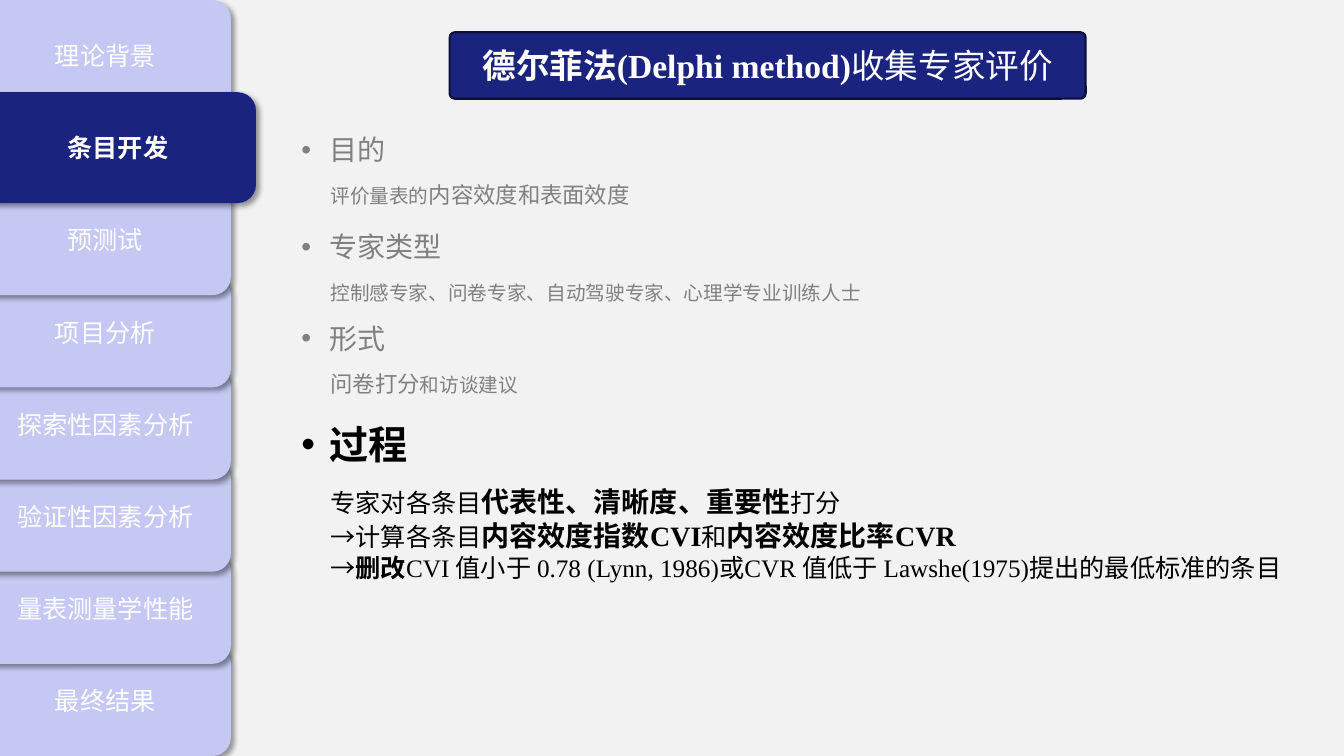
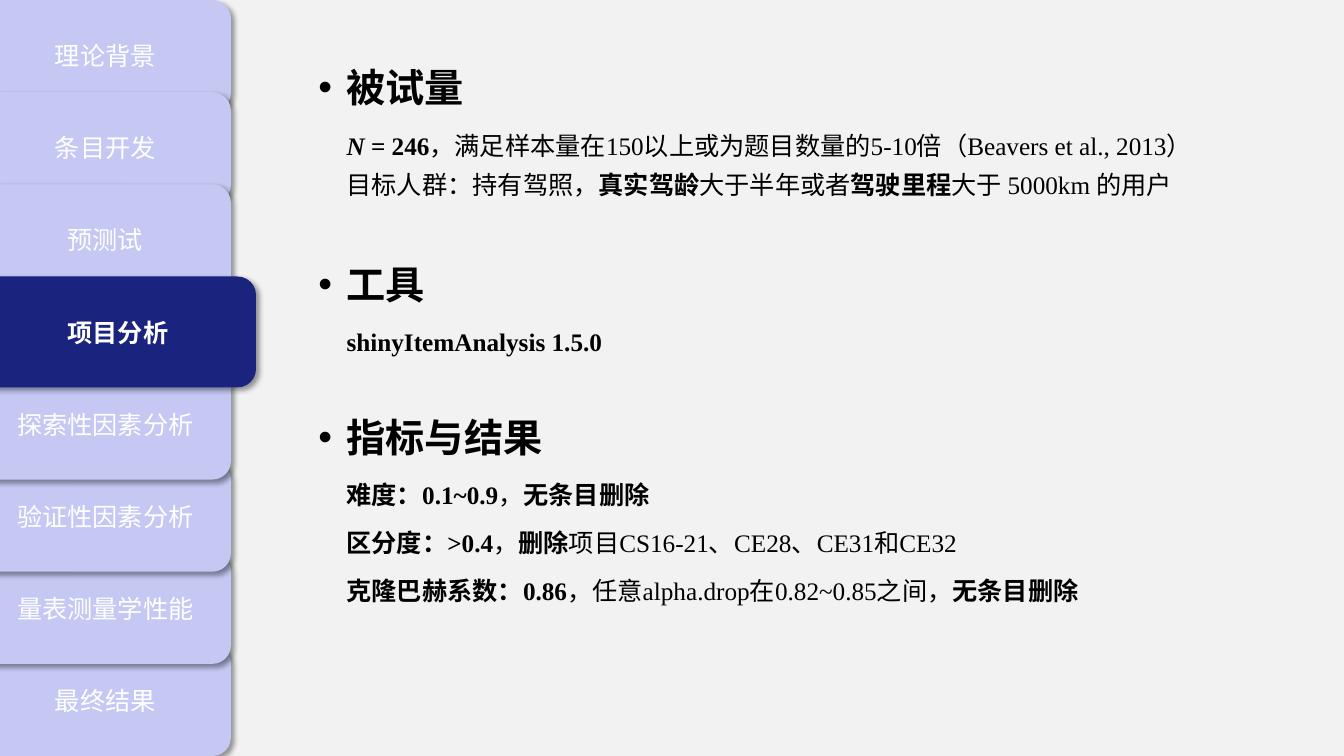
"""Build two slides on scale development with a shared tab rail."""
import dataclasses

import lxml.etree
import pptx
import pptx.dml.color
import pptx.enum.shapes
import pptx.enum.text
import pptx.oxml.ns
import pptx.util


@dataclasses.dataclass(frozen=True)
class Theme:
    paper: str = "F2F2F2"
    navy: str = "1A237E"
    edge: str = "0B0F37"
    lilac: str = "C4C8F3"
    white: str = "FFFFFF"
    black: str = "000000"
    grey: str = "808080"
    latin: str = "Times New Roman"
    cjk: str = "Noto Sans CJK SC"
    title: int = 24
    head: int = 28
    quiet_head: int = 20
    strong: int = 20
    body: int = 18
    mid: int = 16
    small: int = 14
    leading: int = 28


THEME = Theme()
TABS = ["理论背景", "条目开发", "预测试", "项目分析",
        "探索性因素分析", "验证性因素分析", "量表测量学性能", "最终结果"]
TAB_LEFT, TAB_WIDTH, ACTIVE_WIDTH, TAB_HEIGHT = -1.5, 18.68, 20.55, 14.67
HEAD_HEIGHT = 7.6
BOLD = {"bold": True}
STRONG = {"bold": True, "size": THEME.strong}


def rgb(value):
    return pptx.dml.color.RGBColor.from_string(value)


def sub(parent, tag, **attrs):
    return lxml.etree.SubElement(parent, pptx.oxml.ns.qn(tag), attrs)


class Deck:
    def __init__(self, theme):
        self.theme = theme
        self.prs = pptx.Presentation()
        self.prs.slide_width = pptx.util.Inches(13.33)
        self.prs.slide_height = pptx.util.Inches(7.5)
        self.s = None

    def slide(self, active):
        self.s = self.prs.slides.add_slide(self.prs.slide_layouts[6])
        fill = self.s.background.fill
        fill.solid()
        fill.fore_color.rgb = rgb(self.theme.paper)
        self.tabs(active)

    def box(self, x, y, w, h):
        pw, ph = self.prs.slide_width, self.prs.slide_height
        return [int(part * size / 100)
                for part, size in ((x, pw), (y, ph), (w, pw), (h, ph))]

    def add_runs(self, p, runs, **base):
        for text, extra in runs:
            fmt = {"size": self.theme.body, "color": self.theme.black,
                   "bold": False, "name": self.theme.latin} | base | extra
            r = p.add_run()
            r.text = text
            r.font.color.rgb = rgb(fmt.pop("color"))
            fmt["size"] = pptx.util.Pt(fmt["size"])
            for key, value in fmt.items():
                setattr(r.font, key, value)
            latin = r._r.get_or_add_rPr().find(pptx.oxml.ns.qn("a:latin"))
            ea = lxml.etree.Element(pptx.oxml.ns.qn("a:ea"), typeface=self.theme.cjk)
            latin.addnext(ea)

    def panel(self, area, fill, runs, **base):
        kind = pptx.enum.shapes.MSO_SHAPE.ROUNDED_RECTANGLE
        sp = self.s.shapes.add_shape(kind, *self.box(*area))
        sp.shadow.inherit = False
        sp.fill.solid()
        sp.fill.fore_color.rgb = rgb(fill)
        sp.line.fill.background()
        tf = sp.text_frame
        tf.word_wrap = True
        tf.vertical_anchor = pptx.enum.text.MSO_ANCHOR.MIDDLE
        p = tf.paragraphs[0]
        p.alignment = pptx.enum.text.PP_ALIGN.CENTER
        self.add_runs(p, runs, color=self.theme.white, **base)
        return sp

    def tabs(self, active):
        pitch = (100 - TAB_HEIGHT) / (len(TABS) - 1)
        for i in [*range(active), *range(len(TABS) - 1, active - 1, -1)]:
            on = i == active
            area = (TAB_LEFT, i * pitch, ACTIVE_WIDTH if on else TAB_WIDTH, TAB_HEIGHT)
            fill = self.theme.navy if on else self.theme.lilac
            sp = self.panel(area, fill, [(TABS[i], {})], bold=on)
            self.cast_shadow(sp)

    def cast_shadow(self, sp):
        effects = sp._element.spPr.find(pptx.oxml.ns.qn("a:effectLst"))
        shadow = sub(effects, "a:outerShdw", blurRad=str(pptx.util.Pt(4)),
                     dist=str(pptx.util.Pt(3)), dir="2700000", algn="tl", rotWithShape="0")
        sub(sub(shadow, "a:srgbClr", val=self.theme.black), "a:alpha", val="40000")

    def title(self, area, runs):
        sp = self.panel(area, self.theme.navy, runs, size=self.theme.title)
        sp.adjustments[0] = 0.08
        sp.line.color.rgb = rgb(self.theme.edge)
        sp.line.width = pptx.util.Pt(1.5)

    def text(self, area, paragraphs, leading=None, **base):
        tf = self.s.shapes.add_textbox(*self.box(*area)).text_frame
        tf.word_wrap = True
        for i, runs in enumerate(paragraphs):
            p = tf.add_paragraph() if i else tf.paragraphs[0]
            if leading:
                p.line_spacing = pptx.util.Pt(leading)
            self.add_runs(p, runs, **base)
        return tf

    def head(self, x, y, w, text, **base):
        tf = self.text((x, y, w, HEAD_HEIGHT), [[(text, {})]], **base)
        pPr = tf.paragraphs[0]._p.get_or_add_pPr()
        pPr.set("marL", str(pptx.util.Inches(0.5)))
        pPr.set("indent", str(pptx.util.Inches(-0.28)))
        sub(pPr, "a:buFont", typeface="Arial")
        sub(pPr, "a:buChar", char="•")


def expert_review(deck):
    t = deck.theme
    head_x, head_w, body_x = 20.03, 17.63, 23.85
    deck.slide(1)
    deck.title((33.45, 4.27, 47.33, 8.8),
               [("德尔菲法(Delphi method)", BOLD), ("收集专家评价", {})])
    topics = [
        (16.93, "目的", [("评价量表的", {}), ("内容效度和表面效度", {"size": t.mid})]),
        (29.73, "专家类型", [("控制感专家、问卷专家、自动驾驶专家、心理学专业训练人士", {})]),
        (41.87, "形式", [("问卷打分", {"size": t.mid}), ("和访谈建议", {})]),
    ]
    for y, name, runs in topics:
        deck.head(head_x, y, head_w, name, size=t.quiet_head, color=t.grey)
        deck.text((body_x, y + 4.75, 64.8, 8.27), [runs], t.leading,
                  size=t.small, color=t.grey)
    deck.head(head_x, 54.93, head_w, "过程", size=t.head, bold=True)
    deck.text((body_x, 63.47, 74.4, 18.27), [
        [("专家对各条目", {}), ("代表性、清晰度、重要性", STRONG), ("打分", {})],
        [("→计算各条目", {}), ("内容效度指数CVI", STRONG), ("和", {}),
         ("内容效度比率CVR", STRONG)],
        [("→", {}), ("删改", BOLD),
         ("CVI 值小于 0.78 (Lynn, 1986)或CVR 值低于 Lawshe(1975)提出的最低标准的条目", {})],
    ])


def item_analysis(deck):
    t = deck.theme
    deck.slide(3)
    sample = [
        [("N", {"bold": True, "italic": True}), (" = 246", BOLD),
         ("，满足样本量在150以上或为题目数量的5-10倍（Beavers et al., 2013）", {})],
        [("目标人群：持有驾照，", {}), ("真实驾龄", BOLD), ("大于半年或者", {}),
         ("驾驶里程", BOLD), ("大于 5000km 的用户", {})],
    ]
    results = [
        [("难度：0.1~0.9", BOLD), ("，", {}), ("无条目删除", BOLD)],
        [("区分度：>0.4", BOLD), ("，", {}), ("删除", BOLD),
         ("项目CS16-21、CE28、CE31和CE32", {})],
        [("克隆巴赫系数：0.86", BOLD), ("，任意alpha.drop在0.82~0.85之间，", {}),
         ("无条目删除", BOLD)],
    ]
    sections = [
        (7.73, "被试量", 16.93, [sample]),
        (33.73, "工具", 6.53, [[[("shinyItemAnalysis 1.5.0", BOLD)]]]),
        (54, "指标与结果", 6.53, [[runs] for runs in results]),
    ]
    for y, name, height, blocks in sections:
        deck.head(21.3, y, 25.65, name, size=t.head, bold=True)
        for i, paragraphs in enumerate(blocks):
            top = y + HEAD_HEIGHT + i * 6.33
            deck.text((25.05, top, 66.08, height), paragraphs, t.leading)


def main():
    deck = Deck(THEME)
    expert_review(deck)
    item_analysis(deck)
    deck.prs.save("out.pptx")


if __name__ == "__main__":
    main()
